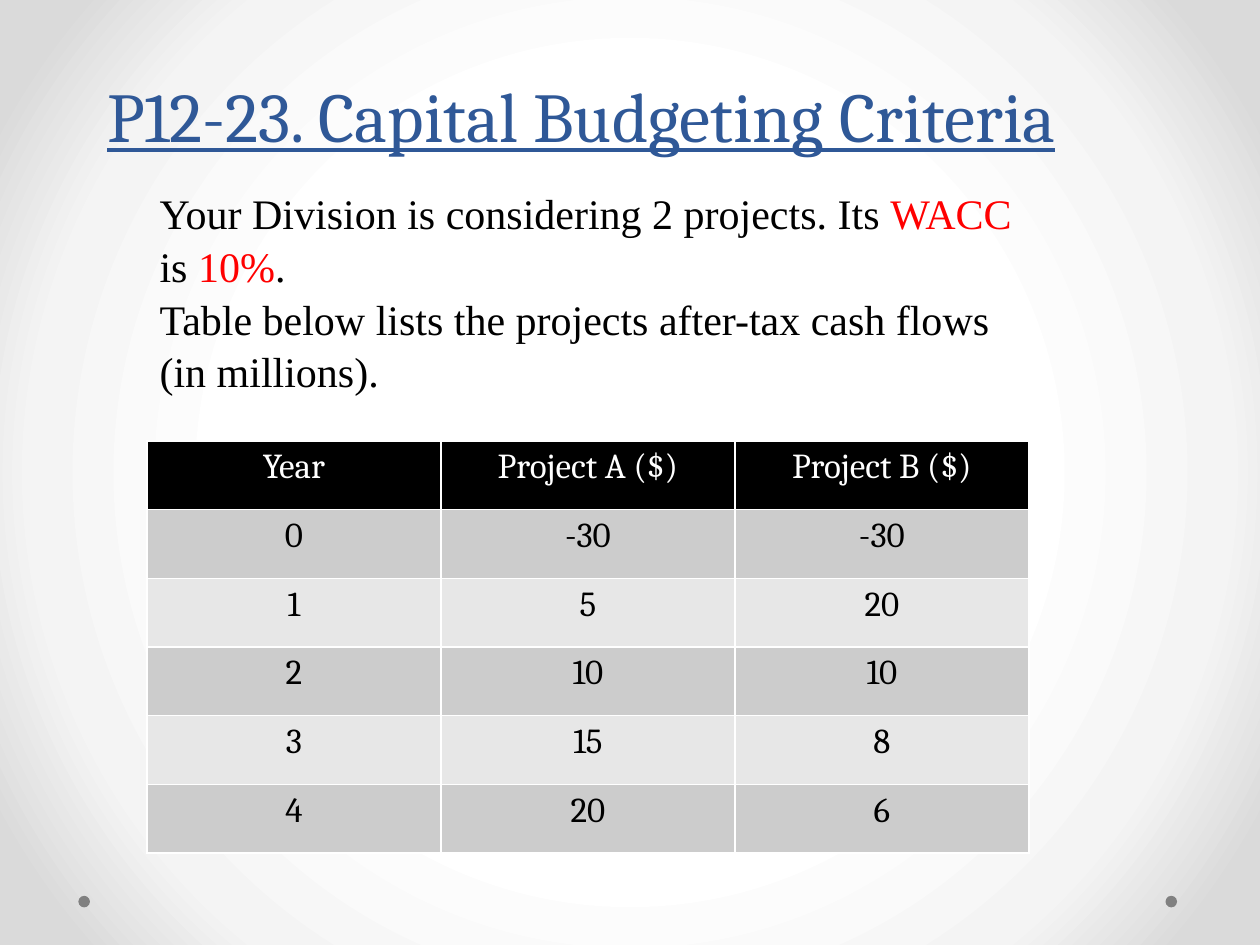
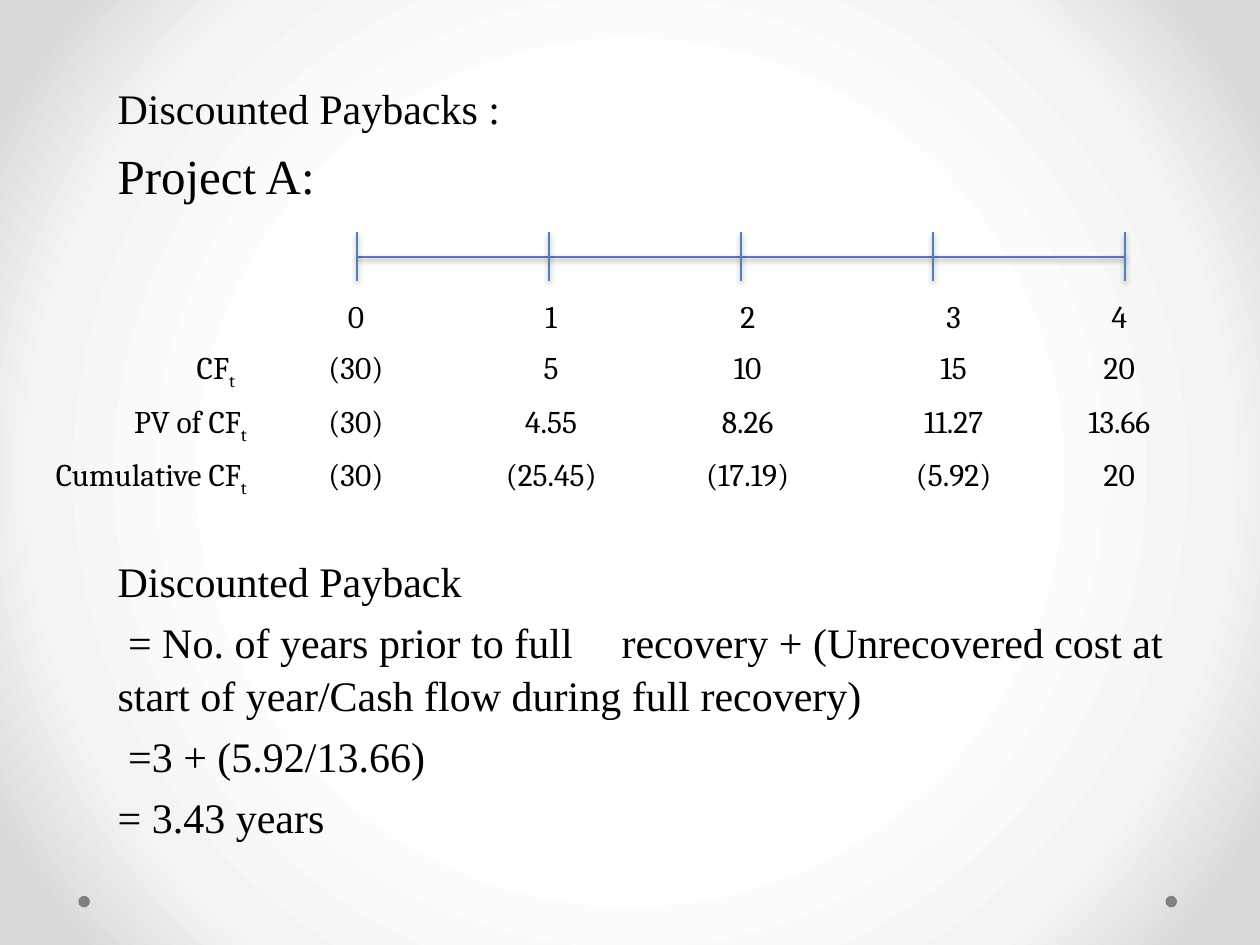
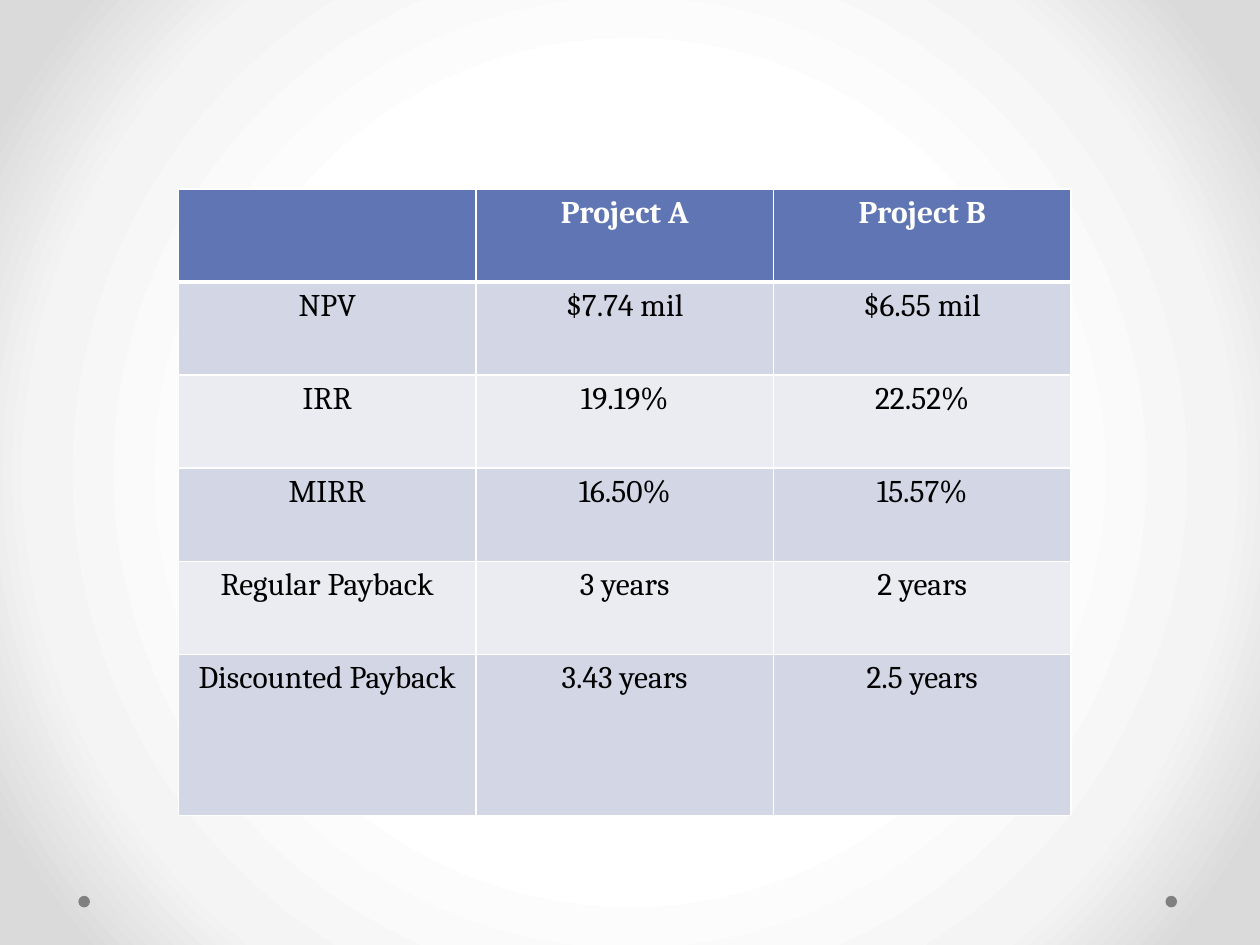
from pptx import Presentation
from pptx.dml.color import RGBColor as RGB
from pptx.enum.shapes import MSO_CONNECTOR as CONN, MSO_SHAPE as SHAPE
from pptx.enum.text import MSO_ANCHOR as ANCHOR, MSO_AUTO_SIZE as FIT, PP_ALIGN as ALIGN
from pptx.oxml import parse_xml
from pptx.oxml.ns import nsdecls, qn
from pptx.util import Pt


class Theme:
    head_font, body_font = "Cambria", "Times New Roman"
    title_size, lead_size, body_size = 40, 28, 24
    table_size, small_size = 20, 18
    title, text, accent, dot = "2F5897", "000000", "FF0000", "808080"
    white, axis, tick = "FFFFFF", "6076B4", "4F81BD"
    black_table = ("000000", "CCCCCC", "E7E7E7")  # header, odd rows, even rows
    blue_table = ("6076B4", "D2D6E5", "EAECF2")
    backdrop = ((50, "FFFFFF"), (76, "F4F4F4"), (92, "DADADA"))
    no_style = "{2D5ABB26-0587-4C30-8999-92F81FD0307C}"


# Content
TITLE = "P12-23. Capital Budgeting Criteria"
INTRO = [
    [("Your Division is considering 2 projects. Its ", Theme.text), ("WACC", Theme.accent),
     (" is ", Theme.text), ("10%", Theme.accent), (".", Theme.text)],
    [("Table below lists the projects after-tax cash flows (in millions).", Theme.text)],
]
CASH_FLOWS = [
    ("Year", "Project A ($)", "Project B ($)"),
    ("0", "-30", "-30"),
    ("1", "5", "20"),
    ("2", "10", "10"),
    ("3", "15", "8"),
    ("4", "20", "6"),
]
PAYBACK = [  # text, size, space before
    ("Discounted Paybacks :", Theme.body_size, 0),
    ("Project A:", Theme.lead_size, 5.6),
    ("Discounted Payback", Theme.body_size, 199),
    (" = No. of years prior to full \trecovery + (Unrecovered cost at start of year"
     "/Cash flow during full recovery)", Theme.body_size, 4.8),
    (" =3 + (5.92/13.66)", Theme.body_size, 4.8),
    ("= 3.43 years", Theme.body_size, 4.8),
]
TIMELINE = [
    ("", "0", "1", "2", "3", "4"),
    ("CF", "(30)", "5", "10", "15", "20"),
    ("PV of CF", "(30)", "4.55", "8.26", "11.27", "13.66"),
    ("Cumulative CF", "(30)", "(25.45)", "(17.19)", "(5.92)", "20"),
]
SUMMARY = [
    ("", "Project A", "Project B"),
    ("NPV", "$7.74 mil", "$6.55 mil"),
    ("IRR", "19.19%", "22.52%"),
    ("MIRR", "16.50%", "15.57%"),
    ("Regular Payback", "3 years", "2 years"),
    ("Discounted Payback", "3.43 years", "2.5 years"),
]


# Helpers
def style(font, size, color, name=Theme.body_font, bold=False):
    font.name, font.size, font.bold = name, Pt(size), bold
    font.color.rgb = RGB.from_string(color)


def place(shape, left, top, width, height):
    shape.left, shape.top, shape.width, shape.height = map(Pt, (left, top, width, height))
    tf = shape.text_frame
    tf.word_wrap, tf.auto_size = True, FIT.NONE
    return tf


def set_paragraph(p, space_before=0):
    p.alignment, p.line_spacing, p.space_before = ALIGN.LEFT, 1.05, Pt(space_before)


def add_table(s, rows, left, top, widths, heights, size):
    frame = s.shapes.add_table(len(rows), len(widths), Pt(left), Pt(top),
                               Pt(sum(widths)), Pt(sum(heights)))
    table = frame.table
    frame.element.find(".//" + qn("a:tableStyleId")).text = Theme.no_style
    for column, width in zip(table.columns, widths):
        column.width = Pt(width)
    for i, (row, height) in enumerate(zip(rows, heights)):
        table.rows[i].height = Pt(height)
        for cell, text in zip(table.rows[i].cells, row):
            cell.text = text
            p = cell.text_frame.paragraphs[0]
            p.alignment = ALIGN.CENTER
            for r in p.runs:
                style(r.font, size, Theme.text, Theme.head_font)
    return table


def band_table(table, fills, head_line=1, bold_head=False):
    for i, row in enumerate(table.rows):
        widths = {"L": 1, "R": 1, "T": head_line if i == 1 else 1,
                  "B": head_line if i == 0 else 1}
        for cell in row.cells:
            for side, width in widths.items():
                cell._tc.get_or_add_tcPr().append(parse_xml(
                    f'<a:ln{side} {nsdecls("a")} w="{Pt(width)}"><a:solidFill>'
                    f'<a:srgbClr val="{Theme.white}"/></a:solidFill></a:ln{side}>'))
            cell.fill.solid()
            cell.fill.fore_color.rgb = RGB.from_string(fills[0 if i == 0 else 2 - i % 2])
            for r in cell.text_frame.paragraphs[0].runs:
                if i == 0:
                    r.font.color.rgb = RGB.from_string(Theme.white)
                    r.font.bold = bold_head


def add_line(group, x1, y1, x2, y2, color):
    line = group.shapes.add_connector(CONN.STRAIGHT, Pt(x1), Pt(y1), Pt(x2), Pt(y2))
    line.line.color.rgb, line.line.width = RGB.from_string(color), Pt(1)
    line.element.spPr.append(parse_xml(
        f'<a:effectLst {nsdecls("a")}><a:outerShdw blurRad="{Pt(3.1)}" dist="{Pt(1.6)}" '
        'dir="5400000" rotWithShape="0"><a:srgbClr val="000000"><a:alpha val="38000"/>'
        '</a:srgbClr></a:outerShdw></a:effectLst>'))


def set_master(prs, s):
    """Put the radial backdrop and the two footer dots on the master."""
    c_sld = prs.slide_master.element.cSld
    c_sld.remove(c_sld.find(qn("p:bg")))
    stops = "".join(f'<a:gs pos="{pos * 1000}"><a:srgbClr val="{color}"/></a:gs>'
                    for pos, color in Theme.backdrop)
    c_sld.insert(0, parse_xml(
        f'<p:bg {nsdecls("p", "a")}><p:bgPr><a:gradFill rotWithShape="1"><a:gsLst>{stops}'
        '</a:gsLst><a:path path="circle"><a:fillToRect l="50000" t="50000" r="50000" '
        'b="50000"/></a:path></a:gradFill><a:effectLst/></p:bgPr></p:bg>'))
    for left in (666, 44.8):
        dot = s.shapes.add_shape(SHAPE.OVAL, Pt(left), Pt(511.9), Pt(6.6), Pt(6.6))
        dot.shadow.inherit = False
        dot.fill.solid()
        dot.fill.fore_color.rgb = RGB.from_string(Theme.dot)
        dot.line.fill.background()
        c_sld.spTree.append(dot.element)


# Slides
def cash_flow_slide(s):
    tf = place(s.shapes.title, 54, 18, 648, 121.7)
    tf.text = TITLE
    tf.vertical_anchor, tf.margin_bottom = ANCHOR.BOTTOM, Pt(50)
    p = tf.paragraphs[0]
    p.alignment = ALIGN.LEFT
    style(p.runs[0].font, Theme.title_size, Theme.title, Theme.head_font)
    p.runs[0].font.underline = True

    tf = place(s.placeholders[1], 84, 102, 504, 138)
    p = tf.paragraphs[0]
    set_paragraph(p)
    for i, line in enumerate(INTRO):
        if i:
            p.add_line_break()
        for text, color in line:
            r = p.add_run()
            r.text = text
            style(r.font, Theme.body_size, color)

    table = add_table(s, CASH_FLOWS, 84, 252, [168] * 3, [39.24] * 6, Theme.table_size)
    band_table(table, Theme.black_table)


def payback_slide(s):
    s.shapes.title.element.getparent().remove(s.shapes.title.element)
    tf = place(s.placeholders[1], 60, 42, 630, 462)
    tf.text = "\n".join(text for text, _, _ in PAYBACK)
    for p, (_, size, space) in zip(tf.paragraphs, PAYBACK):
        set_paragraph(p, space)
        style(p.runs[0].font, size, Theme.text)

    # Timeline with a tick for each year
    left, step, y, half = 204, 109.75, 146.8, 14
    group = s.shapes.add_group_shape()
    add_line(group, left, y, left + 4 * step, y, Theme.axis)
    for year in range(5):
        x = left + year * step
        add_line(group, x, y - half, x, y + half, Theme.tick)

    table = add_table(s, TIMELINE, 18, 168, [130.3, 110.2, 113, 111.6, 123.8, 65.5],
                      [28, 30.5, 30.5, 48], Theme.small_size)
    for i in range(1, len(TIMELINE)):
        p = table.cell(i, 0).text_frame.paragraphs[0]
        p.alignment = ALIGN.RIGHT
        r = p.add_run()
        r.text = "t"
        style(r.font, Theme.small_size, Theme.text, Theme.head_font)
        r.font._element.set("baseline", "-25000")
    table.cell(1, 0).margin_right = Pt(14)


def summary_slide(s):
    table = add_table(s, SUMMARY, 102, 108, [170] * 3, [53.2] * 5 + [92], Theme.small_size)
    band_table(table, Theme.blue_table, head_line=3, bold_head=True)


def main():
    prs = Presentation()
    prs.slide_width, prs.slide_height = Pt(720), Pt(540)
    title_layout, blank_layout = prs.slide_layouts[0], prs.slide_layouts[6]
    pages = [(title_layout, cash_flow_slide), (title_layout, payback_slide),
             (blank_layout, summary_slide)]
    for layout, build in pages:
        build(prs.slides.add_slide(layout))
    set_master(prs, prs.slides[0])
    prs.save("out.pptx")


if __name__ == "__main__":
    main()
